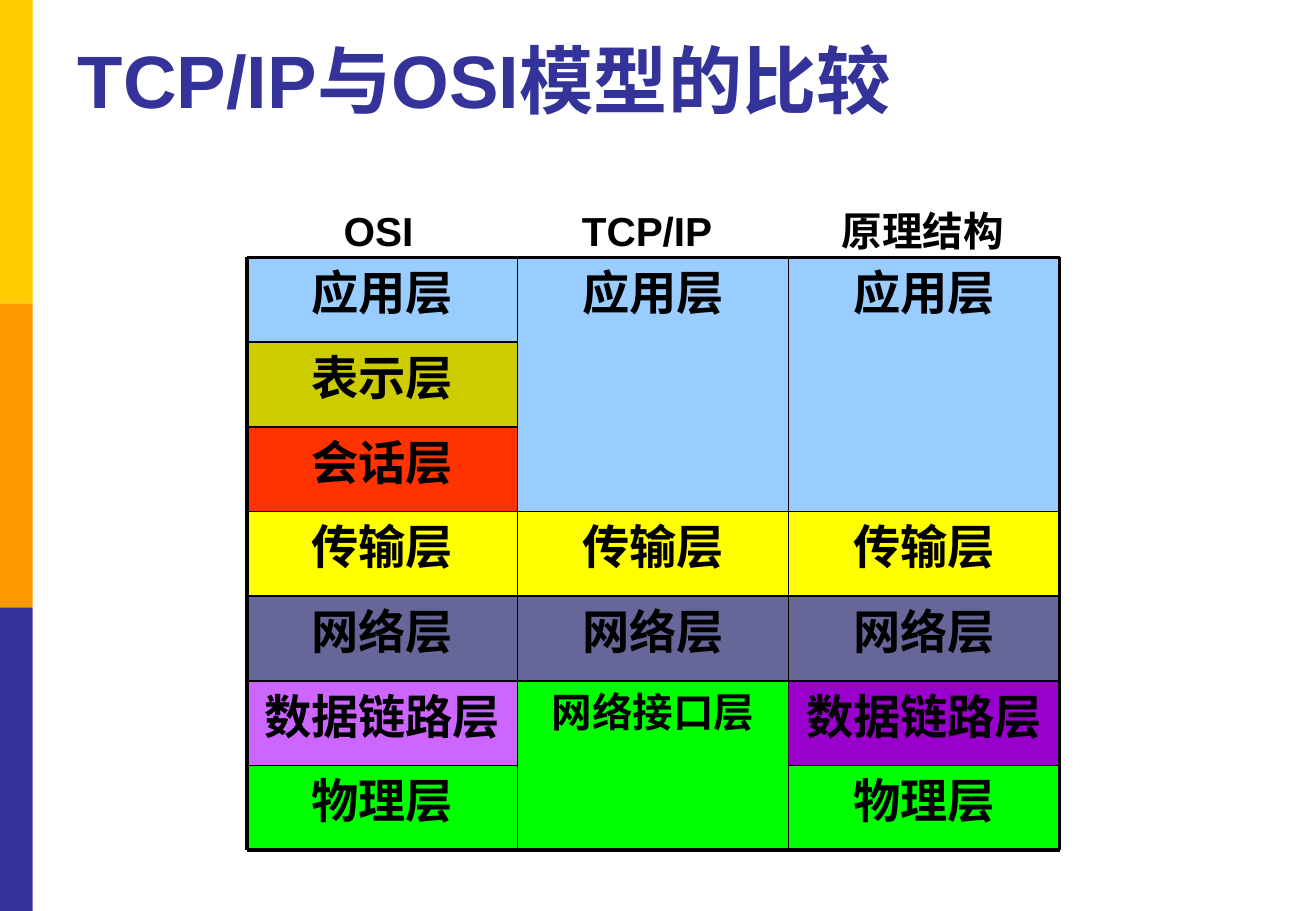
from pptx import Presentation
from pptx.dml.color import RGBColor
from pptx.enum.shapes import MSO_CONNECTOR, MSO_SHAPE
from pptx.enum.text import MSO_ANCHOR, MSO_AUTO_SIZE, PP_ALIGN
from pptx.oxml.ns import qn
from pptx.util import Inches, Pt
from lxml.etree import SubElement

# Layer grid
LEFT, TOP, BOTTOM = 2.03, 2.12, 7
COLUMNS, ROWS = 3, 7
COLUMN_WIDTH = 2.23
ROW_HEIGHT = (BOTTOM - TOP) / ROWS
THICK, THIN = 2.25, 1

SKY, GREEN, YELLOW, SLATE = "99CCFF", "00FF00", "FFFF00", "666699"

# One list per model: name, colour, rows covered, text size
MODELS = {
    "OSI": [
        ("应用层", SKY, 1, 28),
        ("表示层", "CCCC00", 1, 28),
        ("会话层", "FF3300", 1, 28),
        ("传输层", YELLOW, 1, 28),
        ("网络层", SLATE, 1, 28),
        ("数据链路层", "CC66FF", 1, 28),
        ("物理层", GREEN, 1, 28),
    ],
    "TCP/IP": [
        ("应用层", SKY, 3, 28),
        ("传输层", YELLOW, 1, 28),
        ("网络层", SLATE, 1, 28),
        ("网络接口层", GREEN, 2, 24),
    ],
    "原理结构": [
        ("应用层", SKY, 3, 28),
        ("传输层", YELLOW, 1, 28),
        ("网络层", SLATE, 1, 28),
        ("数据链路层", "9900CC", 1, 28),
        ("物理层", GREEN, 1, 28),
    ],
}
HEADING_LEFTS = [2.11, 4.32, 6.59]

# Row borders: row, first column, last column, width
ROW_LINES = [
    (0, 0, 3, THICK),
    (1, 0, 1, THIN),
    (2, 0, 1, THIN),
    (3, 0, 3, THIN),
    (4, 0, 3, THIN),
    (5, 0, 3, THIN),
    (6, 0, 1, THIN),
    (6, 2, 3, THIN),
    (7, 0, 3, THICK),
]


def color(hex_text):
    return RGBColor.from_string(hex_text)


def column_x(column):
    return LEFT + column * COLUMN_WIDTH


def row_y(row):
    return TOP + row * ROW_HEIGHT


class SlideBuilder:
    font_name = "Arial"
    ink = "000000"

    def __init__(self, page):
        self.page = page

    def set_text(self, frame, text, size, ink, align):
        frame.word_wrap = True
        para = frame.paragraphs[0]
        para.text = text
        para.alignment = align
        para.font.name = self.font_name
        para.font.size = Pt(size)
        para.font.bold = True
        para.font.color.rgb = color(ink)

    def title(self, text, left, top, width, height):
        box = self.page.shapes.title
        box.left, box.top = Inches(left), Inches(top)
        box.width, box.height = Inches(width), Inches(height)
        self.set_text(box.text_frame, text, 44, "333399", PP_ALIGN.LEFT)
        box.text_frame.auto_size = MSO_AUTO_SIZE.NONE
        box.text_frame.vertical_anchor = MSO_ANCHOR.MIDDLE

    def block(self, left, top, width, height, fill, text="", size=28):
        box = self.page.shapes.add_shape(
            MSO_SHAPE.RECTANGLE,
            Inches(left), Inches(top), Inches(width), Inches(height))
        box.shadow.inherit = False
        box.fill.solid()
        box.fill.fore_color.rgb = color(fill)
        box.line.fill.background()
        if text:
            self.set_text(box.text_frame, text, size, self.ink, PP_ALIGN.CENTER)
            box.text_frame.vertical_anchor = MSO_ANCHOR.TOP

    def heading(self, text, left, top):
        box = self.page.shapes.add_textbox(
            Inches(left), Inches(top), Inches(2.01), Inches(0.5))
        self.set_text(box.text_frame, text, 24, self.ink, PP_ALIGN.CENTER)

    def line(self, start_x, start_y, end_x, end_y, width):
        connector = self.page.shapes.add_connector(
            MSO_CONNECTOR.STRAIGHT,
            Inches(start_x), Inches(start_y), Inches(end_x), Inches(end_y))
        connector.line.color.rgb = color(self.ink)
        connector.line.width = Pt(width)
        SubElement(connector._element.spPr, qn("a:effectLst"))


def main():
    deck = Presentation()
    deck.slide_width, deck.slide_height = Inches(10.83), Inches(7.5)
    builder = SlideBuilder(deck.slides.add_slide(deck.slide_layouts[5]))

    # Side bar and title
    for index, fill in enumerate(["FFCC00", "FF9900", "333399"]):
        builder.block(0, index * 2.5, 0.27, 2.5, fill)
    builder.title("TCP/IP与OSI模型的比较", 0.54, 0.21, 9.91, 0.87)

    # Layers of each model
    for column, layers in enumerate(MODELS.values()):
        row = 0
        for name, fill, span, size in layers:
            builder.block(column_x(column), row_y(row), COLUMN_WIDTH,
                          span * ROW_HEIGHT, fill, name, size)
            row += span

    # Borders
    for row, first, last, width in ROW_LINES:
        builder.line(column_x(first), row_y(row),
                     column_x(last), row_y(row), width)
    for column in range(COLUMNS + 1):
        width = THICK if column in (0, COLUMNS) else THIN
        builder.line(column_x(column), row_y(0),
                     column_x(column), row_y(ROWS), width)

    # Model names
    for name, left in zip(MODELS, HEADING_LEFTS):
        builder.heading(name, left, 1.65)

    deck.save("out.pptx")


if __name__ == "__main__":
    main()
